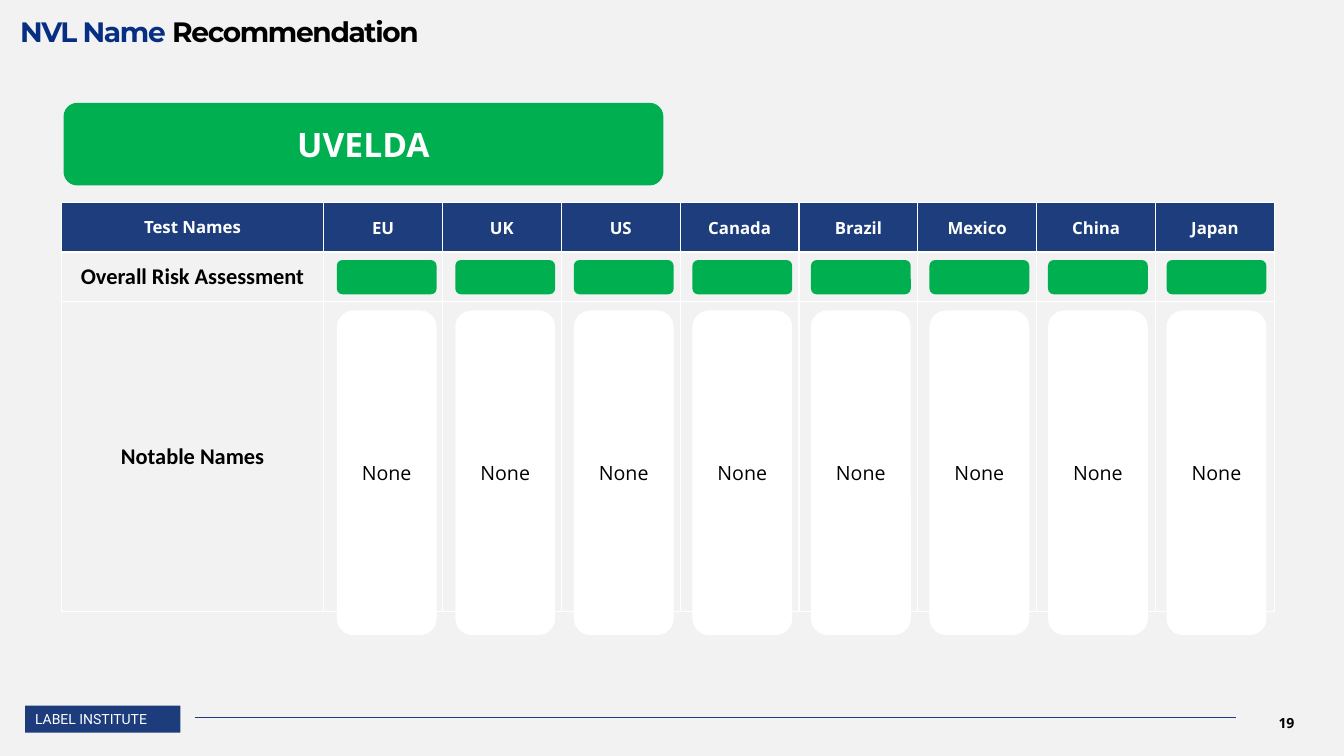
from pptx import Presentation
from pptx.dml.color import RGBColor
from pptx.enum.shapes import MSO_CONNECTOR, MSO_SHAPE
from pptx.enum.text import MSO_ANCHOR, PP_ALIGN
from pptx.oxml.ns import qn
from pptx.util import Inches, Pt
from lxml import etree

TITLE = ["NVL Name ", "Recommendation"]
TEST_NAME = "UVELDA"
HEADER = "Test Names"
ROW_LABELS = ["Overall Risk Assessment", "Notable Names"]
# market, notable names
MARKETS = [("EU", "None"), ("UK", "None"), ("US", "None"), ("Canada", "None"),
           ("Brazil", "None"), ("Mexico", "None"), ("China", "None"), ("Japan", "None")]
FOOTER = "LABEL INSTITUTE"
PAGE_NUMBER = "19"

THEME = {
    "page": "F2F2F2", "navy": "1D3D7C", "footer": "1D3C7C", "title": "062E83",
    "green": "00B050", "white": "FFFFFF", "black": "000000",
    "title_size": 20, "name_size": 24, "label_size": 16, "body_size": 14,
    "header_size": 12, "footer_size": 10,
    "title_font": "Montserrat", "body_font": "Open Sans",
    "label_font": "Calibri", "footer_font": "Roboto",
}

TABLE_LEFT, TABLE_TOP, TABLE_WIDTH = 0.61, 2.01, 12.03
LABEL_WIDTH = 2.6
ROW_HEIGHTS = [0.49, 0.49, 3.08]
CARD_LEFT, LAST_CARD_LEFT, CARD_WIDTH = 3.34, 11.57, 0.99


def color(name):
    return RGBColor.from_string(THEME[name])


def style(span, size, ink, font="body_font", bold=False):
    span.font.size = Pt(THEME[size])
    span.font.name = THEME[font]
    span.font.color.rgb = color(ink)
    span.font.bold = bold


def write(frame, text, *look, align=PP_ALIGN.CENTER, **options):
    frame.text = text
    frame.vertical_anchor = MSO_ANCHOR.MIDDLE
    para = frame.paragraphs[0]
    para.alignment = align
    style(para.runs[0], *look, **options)


def add_block(page, kind, bounds, fill):
    """Add a plain filled shape without outline or shadow."""
    block = page.shapes.add_shape(kind, *map(Inches, bounds))
    block.shadow.inherit = False
    block.fill.solid()
    block.fill.fore_color.rgb = color(fill)
    block.line.fill.background()
    return block


def add_title(page):
    box = page.shapes.add_textbox(*map(Inches, (0.2, 0, 12.82, 0.48)))
    frame = box.text_frame
    frame.word_wrap = True
    frame.margin_left = frame.margin_right = frame.margin_bottom = 0
    frame.margin_top = Inches(0.21)
    para = frame.paragraphs[0]
    para.line_spacing = 0.8
    for text, ink in zip(TITLE, ("title", "black")):
        span = para.add_run()
        span.text = text
        style(span, "title_size", ink, "title_font", bold=True)
        span.font._element.set("spc", "-100")


def add_footer(page):
    tag = add_block(page, MSO_SHAPE.RECTANGLE, (0.25, 7, 1.54, 0.27), "footer")
    write(tag.text_frame, FOOTER, "footer_size", "white", "footer_font", align=PP_ALIGN.LEFT)
    tag.text_frame.word_wrap = False
    rule = page.shapes.add_connector(MSO_CONNECTOR.STRAIGHT, *map(Inches, (1.93, 7.12, 12.26, 7.12)))
    rule.line.color.rgb = color("footer")
    rule.line.width = Pt(0.5)
    etree.SubElement(rule._element.spPr, qn("a:effectLst"))
    number = page.shapes.add_textbox(*map(Inches, (12.21, 6.97, 1.1, 0.4)))
    number.text_frame.word_wrap = True
    write(number.text_frame, PAGE_NUMBER, "footer_size", "black", bold=True)


def add_risk_table(page):
    bounds = (TABLE_LEFT, TABLE_TOP, TABLE_WIDTH, sum(ROW_HEIGHTS))
    table = page.shapes.add_table(len(ROW_HEIGHTS), len(MARKETS) + 1, *map(Inches, bounds)).table
    table.first_row = table.horz_banding = False
    market_width = (TABLE_WIDTH - LABEL_WIDTH) / len(MARKETS)
    for index, column in enumerate(table.columns):
        column.width = Inches(market_width if index else LABEL_WIDTH)
    for row, height in zip(table.rows, ROW_HEIGHTS):
        row.height = Inches(height)
    for cell in table.iter_cells():
        cell.fill.solid()
        cell.fill.fore_color.rgb = color("page")
    for index, heading in enumerate([HEADER] + [market for market, _ in MARKETS]):
        cell = table.cell(0, index)
        cell.fill.fore_color.rgb = color("navy")
        cell.vertical_anchor = MSO_ANCHOR.MIDDLE
        if index:
            cell.margin_left = cell.margin_right = cell.margin_top = Inches(0.01)
            cell.margin_bottom = 0
        write(cell.text_frame, heading, "header_size", "white", bold=True)
    for index, label in enumerate(ROW_LABELS, start=1):
        cell = table.cell(index, 0)
        cell.vertical_anchor = MSO_ANCHOR.MIDDLE
        write(cell.text_frame, label, "label_size", "black", "label_font", bold=True)


def add_market_cards(page):
    pitch = (LAST_CARD_LEFT - CARD_LEFT) / (len(MARKETS) - 1)
    for index, (_, notable) in enumerate(MARKETS):
        left = CARD_LEFT + index * pitch
        add_block(page, MSO_SHAPE.ROUNDED_RECTANGLE, (left, 2.58, CARD_WIDTH, 0.34), "green")
        card = add_block(page, MSO_SHAPE.ROUNDED_RECTANGLE, (left, 3.08, CARD_WIDTH, 3.22), "white")
        write(card.text_frame, notable, "body_size", "black")


def main():
    deck = Presentation()
    deck.slide_width, deck.slide_height = Inches(13.33), Inches(7.5)
    page = deck.slides.add_slide(deck.slide_layouts[6])
    page.background.fill.solid()
    page.background.fill.fore_color.rgb = color("page")
    add_footer(page)
    add_title(page)
    add_risk_table(page)
    banner = add_block(page, MSO_SHAPE.ROUNDED_RECTANGLE, (0.63, 1.02, 5.95, 0.82), "green")
    write(banner.text_frame, TEST_NAME, "name_size", "white", bold=True)
    add_market_cards(page)
    deck.save("out.pptx")


if __name__ == "__main__":
    main()
